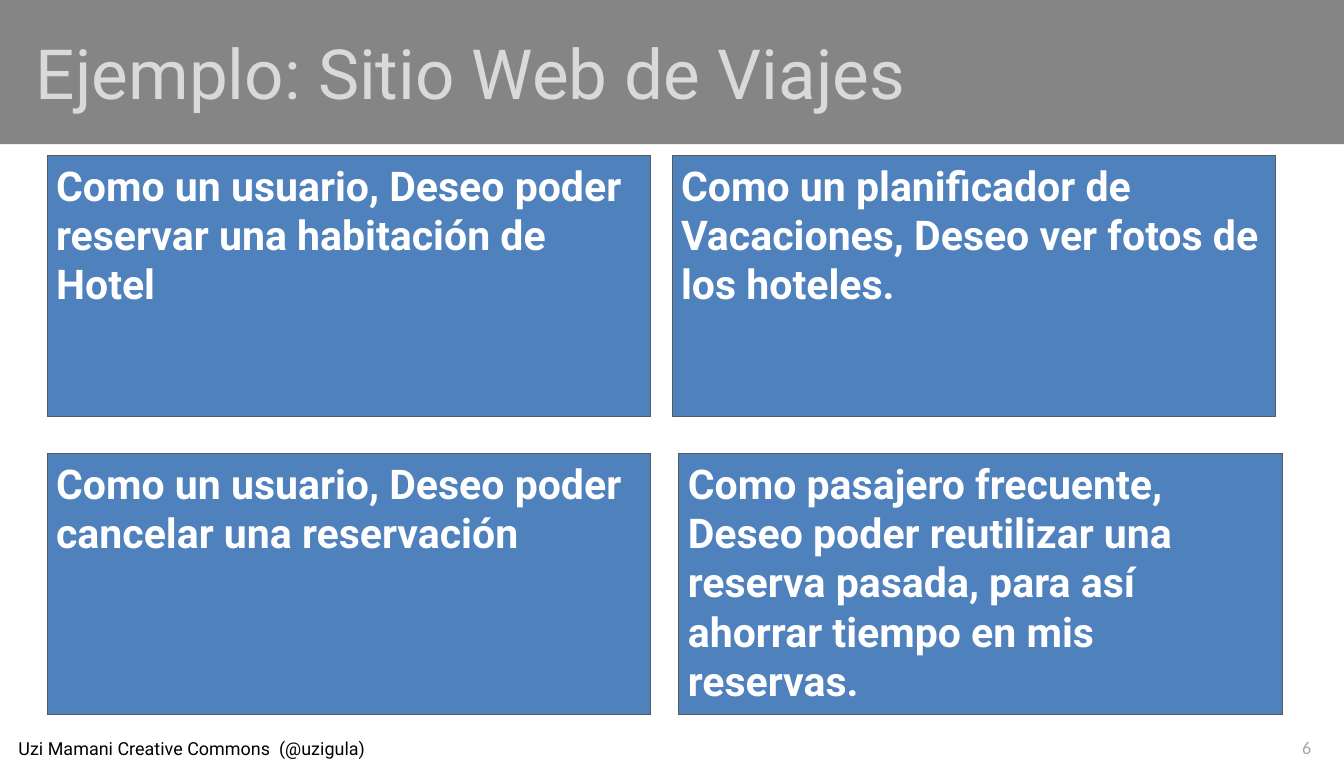
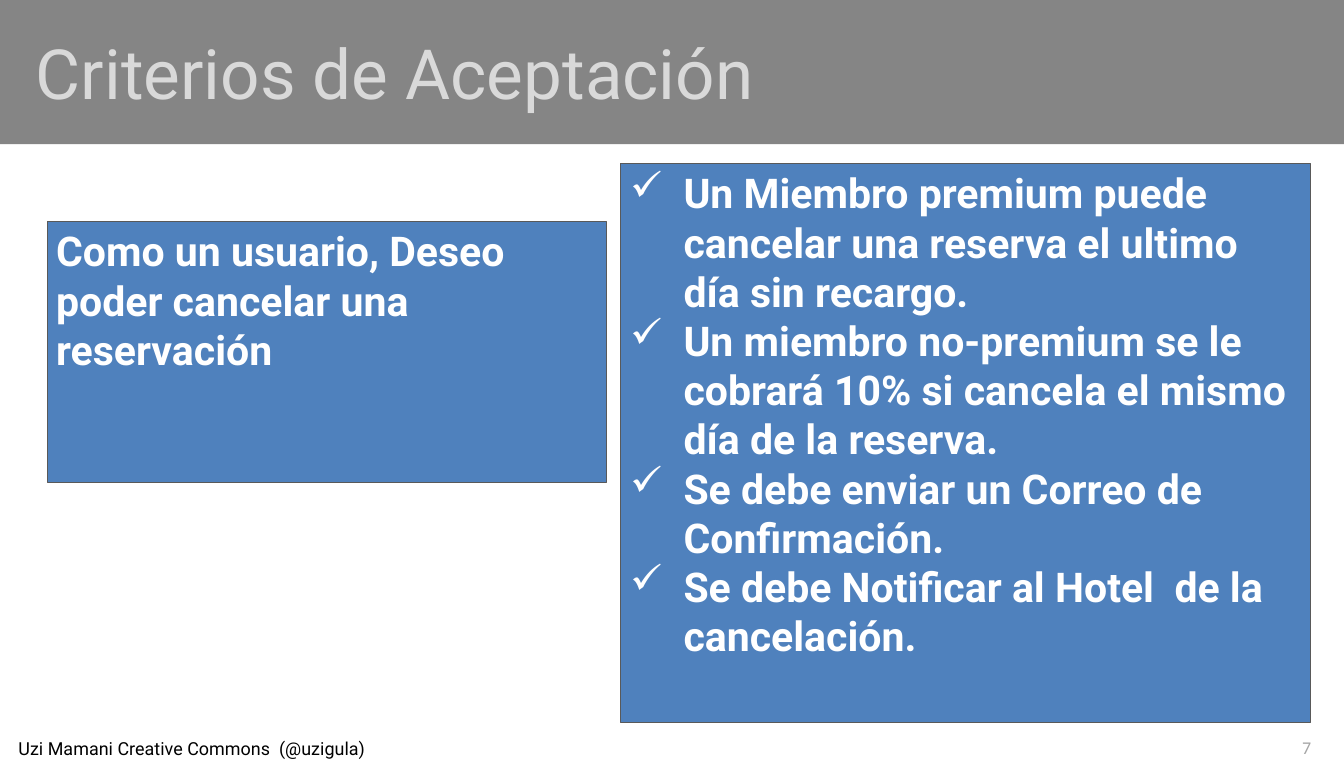
from lxml import etree
from pptx import Presentation
from pptx.dml.color import RGBColor
from pptx.enum.shapes import MSO_SHAPE
from pptx.enum.text import MSO_ANCHOR, MSO_AUTO_SIZE, PP_ALIGN
from pptx.oxml.ns import qn
from pptx.util import Inches, Pt

RECTANGLE = MSO_SHAPE.RECTANGLE
TOP, MIDDLE = MSO_ANCHOR.TOP, MSO_ANCHOR.MIDDLE
LEFT, CENTER = PP_ALIGN.LEFT, PP_ALIGN.CENTER
NO_AUTOSIZE = MSO_AUTO_SIZE.NONE

TITLE_ONLY = 5
SLIDE_WIDTH, SLIDE_HEIGHT = 14.57, 8.27
FIRST_NUMBER = 6
FOOTER = "Uzi Mamani Creative Commons  (@uzigula)"
CANCEL_STORY = "Como un usuario, Deseo poder cancelar una reservación"


def color(value):
    return RGBColor.from_string(value)


class Deck:
    font = "Roboto"
    number_font = "Calibri"
    band = "0D0D0D"
    title_text = "D9D9D9"
    card_fill = "4F81BD"
    card_line = "595959"
    white = "FFFFFF"
    black = "000000"
    number_text = "4C4C4C"
    card_insets = (0.1, 0.05, 0.1, 0.05)

    def __init__(self):
        self.presentation = Presentation()
        self.presentation.slide_width = Inches(SLIDE_WIDTH)
        self.presentation.slide_height = Inches(SLIDE_HEIGHT)
        self.slide = None

    def box(self, left, top, width, height):
        across, down = SLIDE_WIDTH / 100, SLIDE_HEIGHT / 100
        return (Inches(left * across), Inches(top * down),
                Inches(width * across), Inches(height * down))

    def fill(self, shape, value, opacity=100):
        shape.fill.solid()
        shape.fill.fore_color.rgb = color(value)
        if opacity < 100:
            solid = shape.element.spPr.find(qn("a:solidFill"))
            alpha = etree.SubElement(solid[0], qn("a:alpha"))
            alpha.set("val", str(opacity * 1000))

    def set_text(self, shape, lines, size, value, insets, font=font,
                 bold=False, anchor=MIDDLE, align=LEFT, wrap=True):
        frame = shape.text_frame
        frame.text = "\n".join(lines)
        frame.auto_size = NO_AUTOSIZE
        frame.word_wrap = wrap
        frame.vertical_anchor = anchor
        (frame.margin_left, frame.margin_top,
         frame.margin_right, frame.margin_bottom) = map(Inches, insets)
        for paragraph in frame.paragraphs:
            paragraph.alignment = align
            paragraph.font.name = font
            paragraph.font.size = Pt(size)
            paragraph.font.bold = bold
            paragraph.font.color.rgb = color(value)

    def rectangle(self, *area):
        shape = self.slide.shapes.add_shape(RECTANGLE, *self.box(*area))
        shape.shadow.inherit = False
        return shape

    def start(self, title):
        layout = self.presentation.slide_layouts[TITLE_ONLY]
        self.slide = self.presentation.slides.add_slide(layout)
        shape = self.slide.shapes.title
        (shape.left, shape.top,
         shape.width, shape.height) = self.box(0, 0, 100, 18.9)
        self.fill(shape, self.band, 50)
        self.set_text(shape, [title], 54, self.title_text,
                      (0.39, 0.06, 0.45, 0.06))
        self.number()

    def number(self):
        value = FIRST_NUMBER + len(self.presentation.slides) - 1
        shape = self.slide.shapes.add_textbox(*self.box(95.75, 95.9, 2.95, 4.1))
        self.set_text(shape, [str(value)], 14, self.number_text,
                      (0.11, 0.06, 0.11, 0.06), font=self.number_font,
                      align=CENTER, wrap=False)

    def card(self, area, *lines, bullet=None):
        shape = self.rectangle(*area)
        self.fill(shape, self.card_fill)
        shape.line.color.rgb = color(self.card_line)
        shape.line.width = Pt(0.75)
        self.set_text(shape, lines, 32, self.white, self.card_insets,
                      bold=True, anchor=TOP)
        if bullet:
            for paragraph in shape.text_frame.paragraphs:
                self.add_bullet(paragraph, bullet)

    def add_bullet(self, paragraph, character):
        properties = paragraph._p.get_or_add_pPr()
        indent = Inches(0.58)
        properties.set("marL", str(indent))
        properties.set("indent", str(-indent))
        mark = etree.Element(qn("a:buChar"))
        mark.set("char", character)
        properties.find(qn("a:defRPr")).addprevious(mark)

    def footer(self):
        shape = self.rectangle(0, 96.1, 100, 3.9)
        self.fill(shape, self.white, 50)
        shape.line.fill.background()
        self.set_text(shape, [FOOTER], 14, self.black, (0.2, 0, 0.05, 0))

    def save(self):
        self.presentation.save("out.pptx")


def main():
    deck = Deck()
    left, card_width, card_height = 3.5, 44.9, 34.2
    upper, lower = 20.4, 59.5

    deck.start("Ejemplo: Sitio Web de Viajes")
    stories = [
        (left, upper,
         "Como un usuario, Deseo poder reservar una habitación de Hotel"),
        (left, lower, CANCEL_STORY),
        (50, upper,
         "Como un planificador de Vacaciones, Deseo ver fotos de los hoteles."),
        (50.5, lower,
         "Como pasajero frecuente, Deseo poder reutilizar una reserva pasada, "
         "para así ahorrar tiempo en mis reservas."),
    ]
    for column, row, story in stories:
        deck.card((column, row, card_width, card_height), story)
    deck.footer()

    deck.start("Criterios de Aceptación")
    deck.card((left, 29, 41.6, card_height), CANCEL_STORY)
    deck.card(
        (46.2, 21.4, 51.3, 73.3),
        "Un Miembro premium puede cancelar una reserva el ultimo día "
        "sin recargo.",
        "Un miembro no-premium se le cobrará 10% si cancela el mismo día "
        "de la reserva.",
        "Se debe enviar un Correo de Confirmación.",
        "Se debe Notificar al Hotel  de la cancelación.",
        bullet="✓",
    )
    deck.footer()

    deck.save()


if __name__ == "__main__":
    main()
